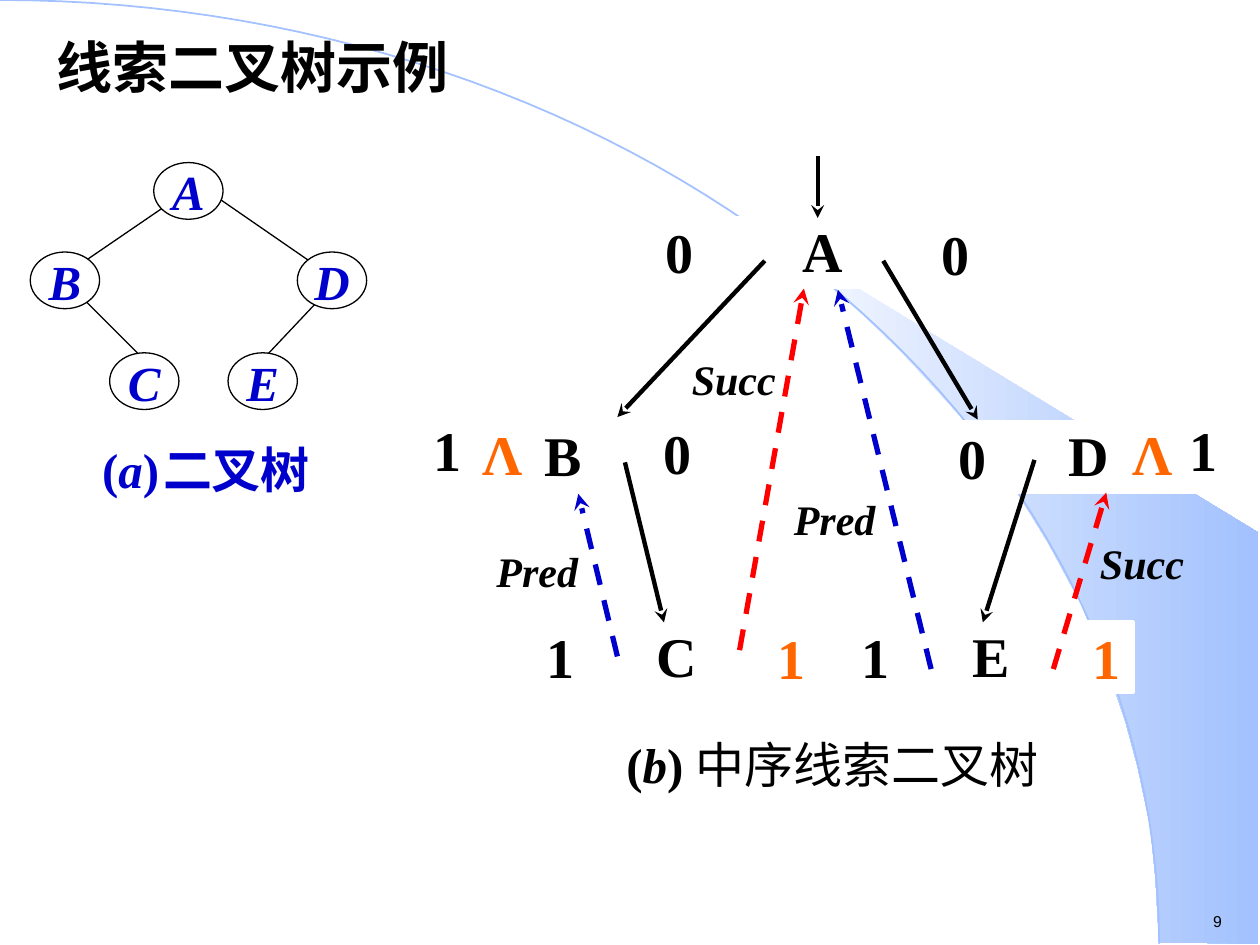
from math import cos, pi, sin

from lxml.etree import SubElement
from pptx import Presentation
from pptx.dml.color import RGBColor
from pptx.enum.dml import MSO_LINE
from pptx.enum.shapes import MSO_CONNECTOR, MSO_SHAPE
from pptx.enum.text import MSO_ANCHOR, PP_ALIGN
from pptx.oxml.ns import qn
from pptx.util import Inches, Pt

# The slide is a grid of 100 columns by 75 rows; all places are in grid cells.
SLIDE_W, SLIDE_H = Inches(10), Inches(7.5)
COLUMNS = 100
SERIF = "Times New Roman"

BLACK = RGBColor(0x00, 0x00, 0x00)
WHITE = RGBColor(0xFF, 0xFF, 0xFF)
BLUE = RGBColor(0x00, 0x00, 0xCC)
RED = RGBColor(0xFF, 0x00, 0x00)
ORANGE = RGBColor(0xFF, 0x66, 0x00)
SKY = RGBColor(0xA2, 0xC1, 0xFE)

SWOOSH = [(92, 74.8), (99.9, 74.9), (99.9, 42.3), (58.9, 17.3), (62.4, 19.9),
          (65.3, 22.2), (68.5, 25), (71.6, 28), (76.2, 33), (80.3, 38.4),
          (83.2, 43.1), (85.8, 47.9), (87.8, 52.8), (89.3, 57.2),
          (90.3, 60.9), (91.3, 65.6), (91.7, 69.6)]
ARC_W, ARC_H, ARC_STEPS = 92, 74.9, 60

OVAL_W, OVAL_H = 5.5, 4.5
TREE_NODES = [("A", 12.2, 12.9), ("B", 2.4, 20), ("D", 23.6, 20),
              ("C", 8.7, 28), ("E", 18.1, 28)]
TREE_EDGES = [((15.7, 14.6), (5.6, 21.5)), ((15.7, 14.6), (25.7, 21.5)),
              ((6.5, 23.6), (11.4, 28.5)), ((25.6, 23.5), (20.7, 28.7))]

# Threaded node: letter, column, row, width, tag width, letter offset,
# then digit, colour and row offset of the left and right tags.
NODE_H, LETTER_W = 5.5, 5.8
SMALL = (22.5, 4.2, 8.4)
THREADED_NODES = [
    ("A", 51.1, 17.3, (27.5, 5.6, 11.3), ("0", BLACK, 0), ("0", BLACK, 0.1)),
    ("B", 33.4, 33.5, SMALL, ("1", BLACK, -0.5), ("0", BLACK, -0.3)),
    ("C", 42.4, 49.4, SMALL, ("1", BLACK, 0), ("1", ORANGE, 0.1)),
    ("D", 75.1, 33.5, SMALL, ("0", BLACK, 0.1), ("1", BLACK, -0.5)),
    ("E", 67.4, 49.4, SMALL, ("1", BLACK, 0), ("1", ORANGE, 0.1)),
]
CHILD_LINKS = [((60.7, 20.7), (49, 33.1)), ((70.1, 20.7), (77.6, 33.3)),
               ((49.6, 36.7), (52.7, 49.4)), ((82.1, 36.5), (78, 49.4)),
               ((64.9, 12.4), (64.9, 17.3))]
THREADS = [((49, 52.1), (45.9, 39.2), BLUE), ((58.7, 51.6), (63.8, 22.9), RED),
           ((73.9, 53.1), (66.5, 23), BLUE), ((83.6, 53.1), (87.8, 39.1), RED)]
THREAD_LABELS = [("Succ", 54.9, 28.8, 0.8), ("Pred", 63, 39.7, Pt(25)),
                 ("Pred", 39.4, 43.8, Pt(25)), ("Succ", 87.3, 43.4, 0.8)]


def cells(count):
    return round(SLIDE_W * count / COLUMNS)


def fill_text(frame, parts, size, color, align=PP_ALIGN.CENTER, spacing=None,
              inset=(0, 0), font=SERIF, bold=True, italic=None, wrap=True):
    """Write runs into a frame; a part is its text and its own font settings."""
    frame.word_wrap = wrap
    frame.vertical_anchor = MSO_ANCHOR.TOP
    frame.margin_left = frame.margin_right = cells(inset[0])
    frame.margin_top = frame.margin_bottom = cells(inset[1])
    paragraph = frame.paragraphs[0]
    paragraph.alignment = align
    if spacing:
        paragraph.line_spacing = spacing
    paragraph.font.name = font
    paragraph.font.size = Pt(size)
    paragraph.font.color.rgb = color
    paragraph.font.bold = bold
    paragraph.font.italic = italic
    for text, settings in parts:
        run = paragraph.add_run()
        run.text = text
        for key, value in settings.items():
            setattr(run.font, key, value)


def add_label(slide, box, parts, size, color=BLACK, **style):
    if isinstance(parts, str):
        parts = [(parts, {})]
    label = slide.shapes.add_textbox(*map(cells, box))
    fill_text(label.text_frame, parts, size, color, **style)


def add_line(slide, start, end, color=BLACK, width=2.5, arrow=True, dash=None):
    line = slide.shapes.add_connector(
        MSO_CONNECTOR.STRAIGHT, *map(cells, (*start, *end)))
    line.line.color.rgb = color
    line.line.width = Pt(width)
    if dash:
        line.line.dash_style = dash
    if arrow:
        SubElement(line.line._get_or_add_ln(), qn("a:tailEnd"), type="stealth")
    SubElement(line._element.spPr, qn("a:effectLst"))


def add_block(slide, kind, box, outline, width):
    block = slide.shapes.add_shape(kind, *map(cells, box))
    block.shadow.inherit = False
    block.fill.solid()
    block.fill.fore_color.rgb = WHITE
    block.line.color.rgb = outline
    block.line.width = Pt(width)
    return block


def add_outline(slide, points, close):
    corners = [(cells(x), cells(y)) for x, y in points]
    builder = slide.shapes.build_freeform(*corners[0])
    builder.add_line_segments(corners[1:], close=close)
    outline = builder.convert_to_shape()
    outline.shadow.inherit = False
    return outline


def add_backdrop(slide):
    swoosh = add_outline(slide, SWOOSH, close=True)
    swoosh.fill.gradient()
    swoosh.fill.gradient_angle = 0
    for stop, color in zip(swoosh.fill.gradient_stops, (WHITE, SKY)):
        stop.color.rgb = color
    swoosh.line.fill.background()

    angles = [pi / 2 * step / ARC_STEPS for step in range(ARC_STEPS + 1)]
    arc = add_outline(slide, [(ARC_W * sin(a), ARC_H * (1 - cos(a)))
                              for a in angles], close=False)
    arc.fill.background()
    arc.line.color.rgb = SKY
    arc.line.width = Pt(1)


def add_tree_node(slide, letter, left, top):
    oval = add_block(slide, MSO_SHAPE.OVAL, (left, top, OVAL_W, OVAL_H),
                     BLACK, 0.75)
    fill_text(oval.text_frame, [(letter, {})], 28, BLUE, spacing=0.85,
              italic=True)


def add_threaded_node(slide, letter, left, top, layout, *tags):
    """Draw a node: left tag, letter and right tag on a white block."""
    width, tag_w, letter_offset = layout
    add_block(slide, MSO_SHAPE.RECTANGLE, (left, top, width, NODE_H),
              WHITE, 2.5)
    add_label(slide, (left + letter_offset, top, LETTER_W, LETTER_W), letter,
              32, spacing=0.9, inset=(1, 0.5))
    for tag_left, (digit, color, drop) in zip((left, left + width - tag_w), tags):
        add_label(slide, (tag_left, top + drop, tag_w, 5.3), digit, 32, color)


def add_plain_tree(slide):
    for start, end in TREE_EDGES:
        add_line(slide, start, end, width=0.75, arrow=False)
    for node in TREE_NODES:
        add_tree_node(slide, *node)
    add_label(slide, (7.1, 35.8, 18.5, 2.8),
              [("(", {}), ("a", {"italic": True}), (")", {}),
               (" ", {"size": Pt(9)}), ("二叉树", {})],
              28, BLUE, spacing=0.8)


def add_threaded_tree(slide):
    add_label(slide, (39.4, 59, 53.3, 4),
              [("(", {}), ("b", {"italic": True}), (") ", {}),
               ("中序线索二叉树", {"bold": False})], 28, spacing=0.85)
    for node in THREADED_NODES:
        add_threaded_node(slide, *node)
    for start, end in CHILD_LINKS:
        add_line(slide, start, end)
    for start, end, color in THREADS:
        add_line(slide, start, end, color, width=3, dash=MSO_LINE.DASH)
    for left in (38.1, 89.7):
        add_label(slide, (left, 34.1, 3.5, 4.5), "Λ", 32, ORANGE, spacing=0.85)
    for name, left, top, spacing in THREAD_LABELS:
        add_label(slide, (left, top, 7.1, 3.5), name, 24, spacing=spacing,
                  align=PP_ALIGN.LEFT, italic=True)


def main():
    deck = Presentation()
    deck.slide_width, deck.slide_height = SLIDE_W, SLIDE_H
    slide = deck.slides.add_slide(deck.slide_layouts[6])
    add_backdrop(slide)
    add_label(slide, (95.3, 71.9, 3.5, 2.5), "9", 9, font="Arial", bold=False,
              align=PP_ALIGN.LEFT, inset=(1, 0.5), wrap=False)
    add_label(slide, (3.5, 2.8, 62.9, 5.7), "线索二叉树示例", 32, spacing=0.88,
              align=PP_ALIGN.LEFT, inset=(1, 0.5))
    add_threaded_tree(slide)
    add_plain_tree(slide)
    deck.save("out.pptx")


if __name__ == "__main__":
    main()
